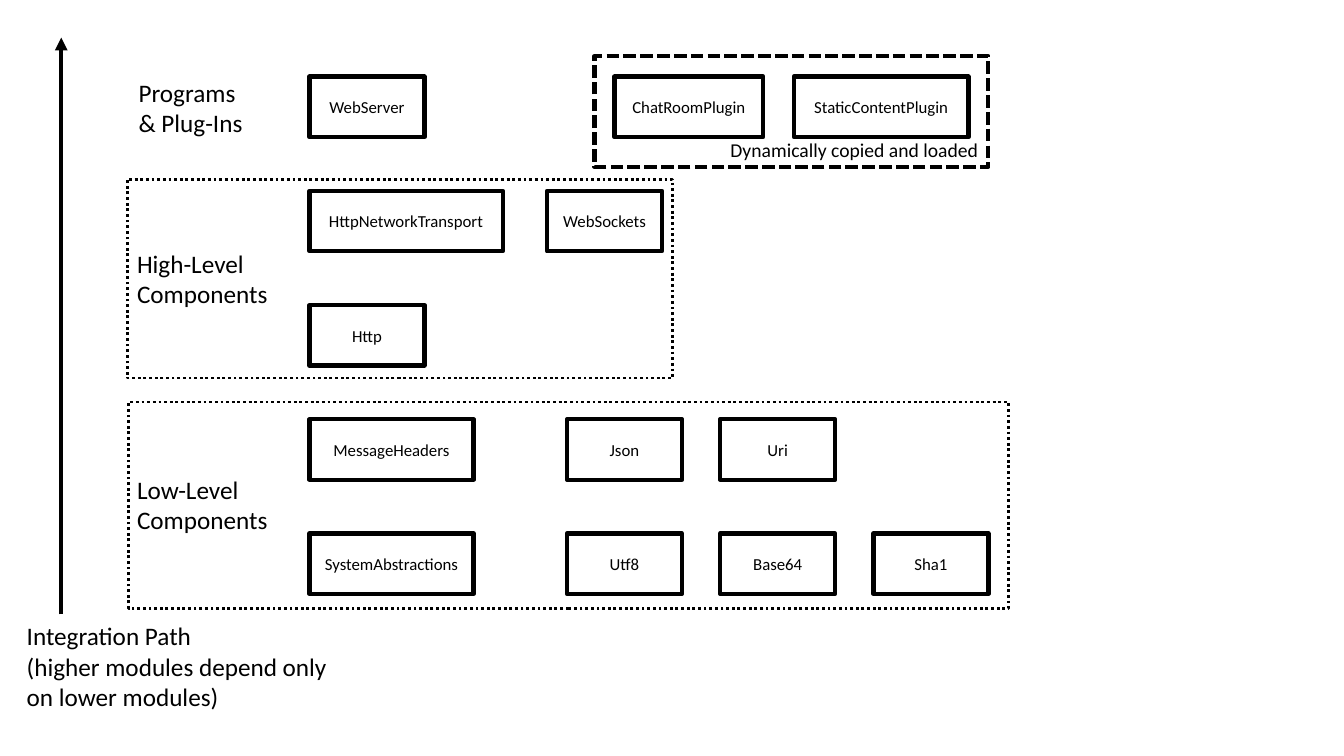
from dataclasses import dataclass

import pptx
import pptx.dml.color
import pptx.enum.dml
import pptx.enum.shapes
import pptx.enum.text
import pptx.oxml
import pptx.oxml.ns
import pptx.util

BLACK = pptx.dml.color.RGBColor(0x00, 0x00, 0x00)
FONT = "Calibri"
DASH = pptx.enum.dml.MSO_LINE.SQUARE_DOT
DOT = pptx.enum.dml.MSO_LINE.ROUND_DOT
RECT = pptx.enum.shapes.MSO_SHAPE.RECTANGLE
ALIGN = pptx.enum.text.PP_ALIGN
ANCHOR = pptx.enum.text.MSO_ANCHOR

# Grid in inches: first module's corner, and the step to the next one
LEFT, TOP = 3.07, 0.76
COL, ROW = 1.52, 1.133
SMALL, TALL = 0.75, 0.53  # usual module size, in columns and rows


@dataclass
class Module:
    name: str
    col: float
    row: float
    wide: float = SMALL


@dataclass
class Frame:
    col: float
    row: float
    wide: float
    high: float
    weight: float
    dash: pptx.enum.dml.MSO_LINE
    text: str = ""


@dataclass
class Label:
    lines: list[str]
    col: float
    row: float
    wide: float
    high: float = 0.63
    wrap: bool = False


MODULES = [
    Module("WebServer", 0, 0),
    Module("ChatRoomPlugin", 1.99, 0, 0.97),
    Module("StaticContentPlugin", 3.16, 0, 1.14),
    Module("HttpNetworkTransport", 0, 1, 1.26),
    Module("WebSockets", 1.55, 1),
    Module("Http", 0, 2),
    Module("MessageHeaders", 0, 3, 1.07),
    Module("Json", 1.68, 3),
    Module("Uri", 2.68, 3),
    Module("SystemAbstractions", 0, 4, 1.07),
    Module("Utf8", 1.68, 4),
    Module("Base64", 2.68, 4),
    Module("Sha1", 3.68, 4),
]
FRAMES = [
    Frame(1.86, -0.18, 2.57, 0.97, 3, DASH, "Dynamically copied and loaded"),
    Frame(-1.19, 0.9, 3.56, 1.74, 2, DOT),
    Frame(-1.18, 2.85, 5.74, 1.81, 2, DOT),
]
LABELS = [
    Label(["Programs", "& Plug-Ins"], -1.18, -0.04, 0.82),
    Label(["High-Level", "Components"], -1.19, 1.46, 0.99),
    Label(["Low-Level", "Components"], -1.19, 3.44, 0.99),
    Label(["Integration Path", "(higher modules depend only on lower modules)"],
          -1.91, 4.72, 2.14, 0.89, True),
]


def across(col: float) -> int:
    return pptx.util.Inches(LEFT + col * COL)


def down(row: float) -> int:
    return pptx.util.Inches(TOP + row * ROW)


def place(col: float, row: float, wide: float, high: float) -> tuple[int, ...]:
    return (across(col), down(row),
            pptx.util.Inches(wide * COL), pptx.util.Inches(high * ROW))


def write(shape, lines: list[str], size: float, align: ALIGN, anchor: ANCHOR) -> None:
    frame = shape.text_frame
    frame.vertical_anchor = anchor
    for i, line in enumerate(lines):
        para = frame.paragraphs[0] if i == 0 else frame.add_paragraph()
        para.alignment = align
        run = para.add_run()
        run.text = line
        run.font.name = FONT
        run.font.size = pptx.util.Pt(size)
        run.font.color.rgb = BLACK


def stroke(line, weight: float) -> None:
    line.color.rgb = BLACK
    line.width = pptx.util.Pt(weight)


def draw_box(slide, spot: tuple[int, ...], weight: float):
    box = slide.shapes.add_shape(RECT, *spot)
    box.shadow.inherit = False
    box.fill.background()
    stroke(box.line, weight)
    return box


def draw_module(slide, module: Module) -> None:
    box = draw_box(slide, place(module.col, module.row, module.wide, TALL), 3)
    write(box, [module.name], 12, ALIGN.CENTER, ANCHOR.MIDDLE)


def draw_frame(slide, frame: Frame) -> None:
    spot = place(frame.col, frame.row, frame.wide, frame.high)
    box = draw_box(slide, spot, frame.weight)
    box.line.dash_style = frame.dash
    if frame.text:
        write(box, [frame.text], 14, ALIGN.RIGHT, ANCHOR.BOTTOM)


def draw_label(slide, label: Label) -> None:
    box = slide.shapes.add_textbox(
        *place(label.col, label.row, label.wide, label.high))
    box.text_frame.word_wrap = label.wrap
    write(box, label.lines, 18, ALIGN.LEFT, ANCHOR.TOP)


def draw_arrow(slide, col: float, start: float, end: float) -> None:
    arrow = slide.shapes.add_connector(
        pptx.enum.shapes.MSO_CONNECTOR.STRAIGHT,
        across(col), down(start), across(col), down(end))
    stroke(arrow.line, 3)
    # Arrowhead at the end, and no shadow
    edge = arrow.line._get_or_add_ln()
    head = pptx.oxml.parse_xml(
        f'<a:tailEnd {pptx.oxml.ns.nsdecls("a")} type="triangle"/>')
    edge.append(head)
    arrow._element.spPr.append(
        pptx.oxml.parse_xml(f'<a:effectLst {pptx.oxml.ns.nsdecls("a")}/>'))


def main() -> None:
    deck = pptx.Presentation()
    deck.slide_width = pptx.util.Inches(13.33)
    deck.slide_height = pptx.util.Inches(7.5)
    slide = deck.slides.add_slide(deck.slide_layouts.get_by_name("Blank"))

    # Modules, then the frames around their layers
    for module in MODULES:
        draw_module(slide, module)
    for frame in FRAMES:
        draw_frame(slide, frame)

    # Layer names and the path that runs up past them
    for label in LABELS:
        draw_label(slide, label)
    draw_arrow(slide, -1.62, 4.71, -0.34)

    deck.save("out.pptx")


if __name__ == "__main__":
    main()
